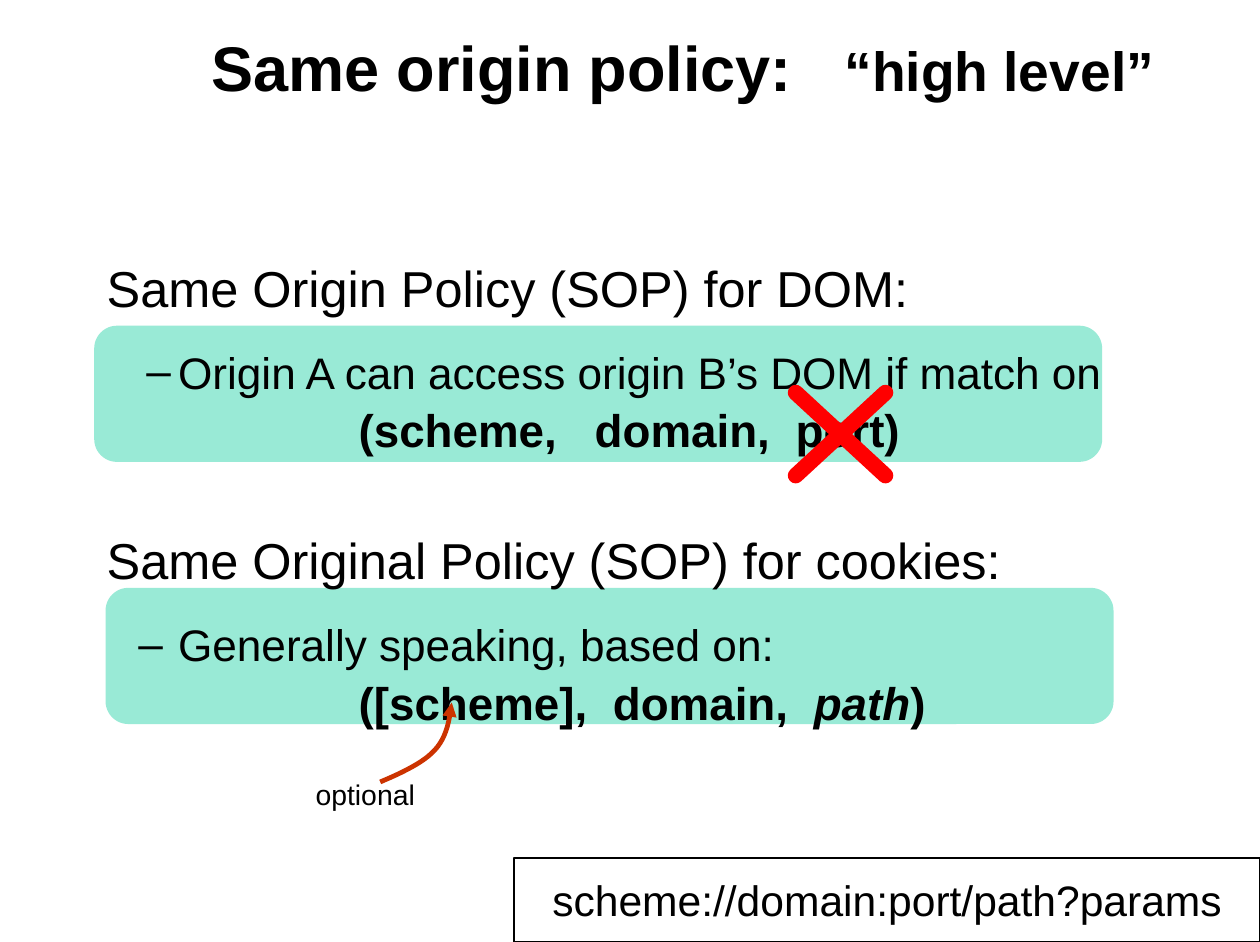
from lxml import etree
from pptx import Presentation
from pptx.dml.color import RGBColor
from pptx.enum.shapes import MSO_CONNECTOR, MSO_SHAPE
from pptx.enum.text import MSO_ANCHOR, PP_ALIGN
from pptx.oxml.ns import qn
from pptx.util import Inches, Pt

ROUNDED, RECTANGLE = MSO_SHAPE.ROUNDED_RECTANGLE, MSO_SHAPE.RECTANGLE
STRAIGHT = MSO_CONNECTOR.STRAIGHT
TOP, MIDDLE = MSO_ANCHOR.TOP, MSO_ANCHOR.MIDDLE
LEFT, CENTER = PP_ALIGN.LEFT, PP_ALIGN.CENTER
COLORS = {name: RGBColor.from_string(value) for name, value in {
    "text": "000000", "panel": "00CC99", "arrow": "CC3300", "cross": "FF0000",
}.items()}

presentation = Presentation()
presentation.slide_width, presentation.slide_height = Inches(11.1), Inches(8.3)
slide = presentation.slides.add_slide(presentation.slide_layouts[6])
shapes = slide.shapes
# The slide is a grid of 111 columns by 83 rows of square cells
CELL = presentation.slide_width / 111


def cells(*counts):
    return [round(count * CELL) for count in counts]


def write(shape, lines, wrap=True, anchor=TOP, align=LEFT):
    """Each line is a list of (text, size, bold, italic) runs."""
    frame = shape.text_frame
    frame.word_wrap, frame.vertical_anchor = wrap, anchor
    frame.margin_left, frame.margin_right = cells(1.1, 1.1)
    frame.margin_top, frame.margin_bottom = cells(0.6, 0.6)
    for index, line in enumerate(lines):
        paragraph = frame.add_paragraph() if index else frame.paragraphs[0]
        paragraph.alignment = align
        for text, size, bold, italic in line:
            run = paragraph.add_run()
            run.text = text
            run.font.name, run.font.size = "Arial", Pt(size)
            run.font.bold, run.font.italic = bold, italic
            run.font.color.rgb = COLORS["text"]
    return frame.paragraphs


def set_tabs(paragraph, stops):
    tabs = etree.SubElement(paragraph._p.get_or_add_pPr(), qn("a:tabLst"))
    for stop in cells(*stops):
        etree.SubElement(tabs, qn("a:tab"), pos=str(stop), algn="l")


# Translucent panels
for left, top in ((9.3, 51.8), (8.3, 28.7)):
    panel = shapes.add_shape(ROUNDED, *cells(left, top, 88.8, 12))
    panel.shadow.inherit = False
    panel.fill.solid()
    panel.fill.fore_color.rgb = COLORS["panel"]
    panel.line.fill.background()
    color = panel._element.spPr.find(qn("a:solidFill"))[0]
    etree.SubElement(color, qn("a:alpha"), val="40000")

# Title
title = shapes.add_textbox(*cells(17.5, 0.8, 91.7, 10))
heading = write(title, [[("Same origin policy:\t", 40, True, False),
                         ("“high level”", 35, True, False)]], anchor=MIDDLE)[0]
set_tabs(heading, [55.8])

# Two policies: heading, dashed rule and the tuple that is matched
policies = [
    ("Same Origin Policy (SOP) for DOM:",
     "Origin A can access origin B’s DOM if match on", 2.8,
     [("(scheme,\tdomain,\tport)", 29, True, False)], [20.8, 38.5]),
    ("Same Original Policy (SOP) for cookies:",
     "Generally speaking, based on:", 3.5,
     [("([scheme],\tdomain,\t", 29, True, False), ("path", 29, True, True),
      (")", 29, True, False)], [22.4, 40.1]),
]
for index, (name, rule, hanging, parts, stops) in enumerate(policies):
    top = 22.05 + 24 * index
    body = shapes.add_textbox(*cells(8.3, top, 97.1, 13))
    bullet = write(body, [[(name, 32, False, False)],
                          [(rule, 28, False, False)]])[1]
    bullet.space_before, bullet.line_spacing = Pt(13.3), Pt(37.7)
    properties = bullet._p.get_or_add_pPr()
    margin, indent = cells(6.3, -hanging)
    properties.set("marL", str(margin))
    properties.set("indent", str(indent))
    etree.SubElement(properties, qn("a:buFont"), typeface="Arial")
    etree.SubElement(properties, qn("a:buChar"), char="–")
    bullet.font.size = Pt(28)

    match = shapes.add_textbox(*cells(30.5, top + 12.8, 60, 6))
    set_tabs(write(match, [parts])[0], stops)

# Note with a curved arrow to the scheme
note = shapes.add_textbox(*cells(26.7, 67.9, 14, 4))
write(note, [[("optional", 18, False, False)]], wrap=False)

curves = [((33.5, 68.9), (35.4, 68.1), (37.3, 67.2), (38.3, 66.1)),
          ((38.3, 66.1), (39.4, 64.9), (39.6, 63.4), (39.8, 61.9))]
STEPS = 12
points = []
for curve in curves:
    for step in range(1, STEPS + 1):
        t = step / STEPS
        weights = ((1 - t) ** 3, 3 * t * (1 - t) ** 2, 3 * t * t * (1 - t), t ** 3)
        points.append(cells(*(sum(w * point[axis] for w, point in zip(weights, curve))
                              for axis in (0, 1))))
builder = shapes.build_freeform(*cells(*curves[0][0]))
builder.add_line_segments(points, close=False)
arrow = builder.convert_to_shape()
arrow.shadow.inherit = False
arrow.fill.background()
arrow.line.color.rgb, arrow.line.width = COLORS["arrow"], Pt(3)
etree.SubElement(arrow.line._get_or_add_ln(), qn("a:tailEnd"), type="triangle")

# Address format
address = shapes.add_shape(RECTANGLE, *cells(45.3, 75.6, 65.7, 7.4))
address.shadow.inherit = False
address.fill.background()
address.line.color.rgb, address.line.width = COLORS["text"], Pt(1)
write(address, [[("scheme://domain:port/path?params", 27, False, False)]],
      wrap=False, anchor=MIDDLE, align=CENTER)

# Cross over the port
for start, end in ((70.1, 78), (78, 70.1)):
    stroke = shapes.add_connector(STRAIGHT, *cells(start, 34.6, end, 41.9))
    stroke.line.color.rgb, stroke.line.width = COLORS["cross"], Pt(10)
    stroke.line._get_or_add_ln().set("cap", "rnd")
    etree.SubElement(stroke._element.spPr, qn("a:effectLst"))

presentation.save("out.pptx")
